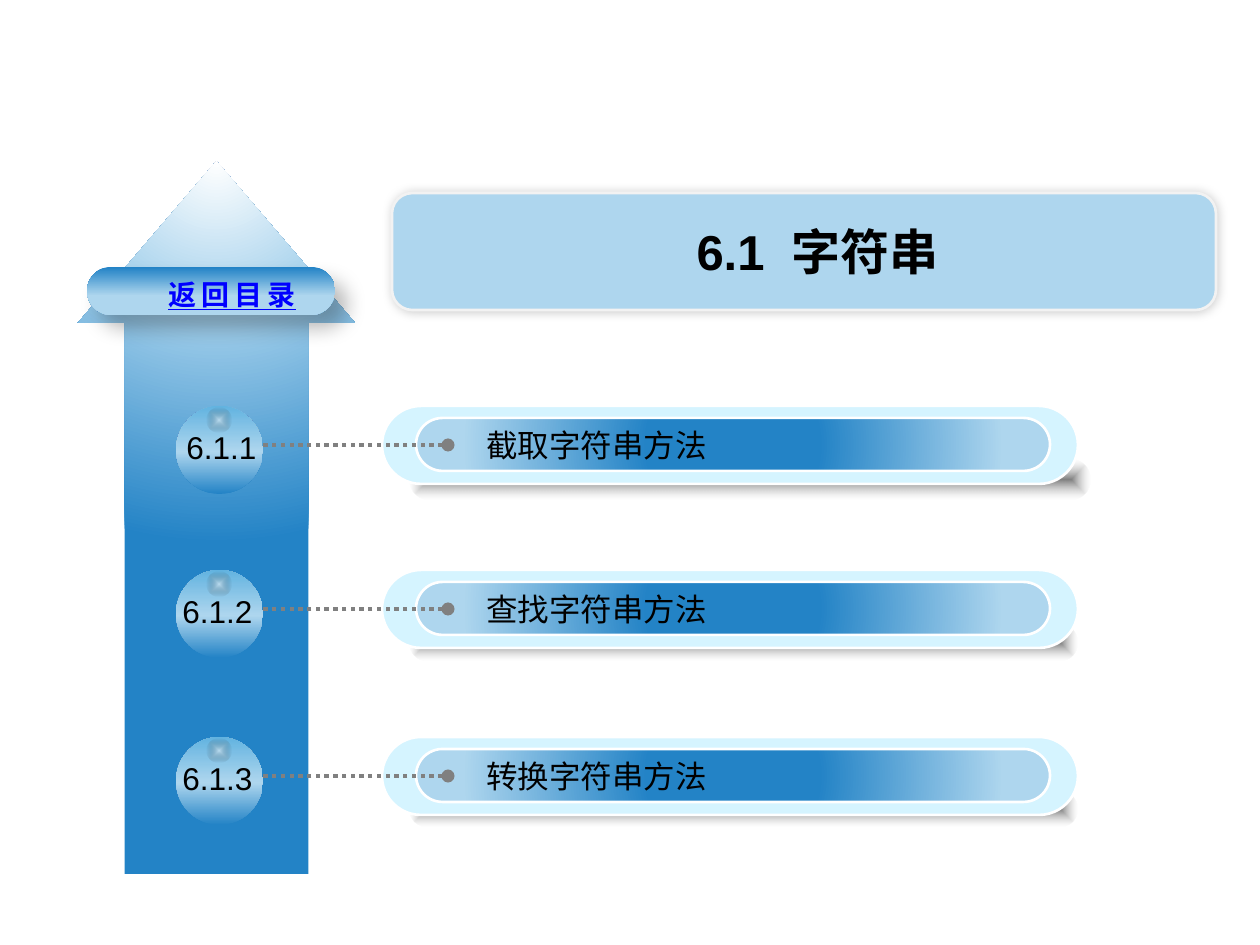
from pptx import Presentation
from pptx.dml.color import RGBColor
from pptx.enum.dml import MSO_LINE
from pptx.enum.shapes import MSO_CONNECTOR, MSO_SHAPE
from pptx.enum.text import MSO_ANCHOR, MSO_AUTO_SIZE, PP_ALIGN
from pptx.oxml import parse_xml
from pptx.oxml.ns import nsdecls, qn
from pptx.util import Pt

PX = 914400 / 126
LATIN, CJK = "Arial", "Noto Sans CJK SC"

BLACK = RGBColor(0x00, 0x00, 0x00)
WHITE = RGBColor(0xFF, 0xFF, 0xFF)
SILVER = RGBColor(0xB0, 0xB0, 0xB0)
GRAY = RGBColor(0x80, 0x80, 0x80)
PANEL_EDGE = RGBColor(0xF2, 0xF2, 0xF2)
LINK_BLUE = RGBColor(0x00, 0x00, 0xFF)
BLUE = RGBColor(0x23, 0x83, 0xC6)
MID_BLUE = RGBColor(0x62, 0xB3, 0xE0)
LIGHT_BLUE = RGBColor(0xAE, 0xD6, 0xEE)
PALE_BLUE = RGBColor(0xD5, 0xF4, 0xFF)

TITLE = "6.1  字符串"
BACK = "返回目录"
# number, name, top, number left, shade box (left, offset from top, width, height)
SECTIONS = [
    ("6.1.1", "截取字符串方法", 406, 174, (410, 54, 680, 39)),
    ("6.1.2", "查找字符串方法", 570, 170, (410, 55, 668, 35)),
    ("6.1.3", "转换字符串方法", 737, 170, (410, 55, 668, 35)),
]

# Gradient stops: position in percent, colour, opacity in percent
ARROW_STOPS = [(0, WHITE, 100), (35, LIGHT_BLUE, 100), (100, BLUE, 100)]
BAR_STOPS = [(27, BLUE, 100), (85, LIGHT_BLUE, 100)]
BALL_STOPS = [(0, BLUE, 100), (48, LIGHT_BLUE, 100), (100, MID_BLUE, 100)]
BUTTON_STOPS = [(1, BLUE, 100), (60, LIGHT_BLUE, 100)]
SHADE_STOPS = [(0, BLACK, 50), (100, SILVER, 0)]
GLOSS_STOPS = [(0, WHITE, 50), (100, BLACK, 0)]
CENTRE = (50, 50, 50, 50)


def emu(*lengths):
    return [round(length * PX) for length in lengths]


def linear(angle):
    return f'<a:lin ang="{angle * 60000}" scaled="0"/>'


def radial(kind, focus=CENTRE):
    """Gradient that runs outward from the focus rectangle (percent insets)."""
    sides = " ".join(f'{side}="{value * 1000}"' for side, value in zip("ltrb", focus))
    return f'<a:path path="{kind}"><a:fillToRect {sides}/></a:path>'


def colour_xml(colour, opacity):
    return f'<a:srgbClr val="{colour}"><a:alpha val="{opacity * 1000}"/></a:srgbClr>'


def add_shape(shapes, kind, box, fill=None, edge=None, adjust=()):
    shape = shapes.add_shape(kind, *emu(*box))
    shape.shadow.inherit = False
    for index, value in enumerate(adjust):
        shape.adjustments[index] = value
    if fill is not None:
        shape.fill.solid()
        shape.fill.fore_color.rgb = fill
    if edge is None:
        shape.line.fill.background()
    else:
        shape.line.color.rgb = edge
        shape.line.width = Pt(1.5)
    return shape


def set_gradient(shape, stops, direction):
    stop_xml = "".join(
        f'<a:gs pos="{place * 1000}">{colour_xml(colour, opacity)}</a:gs>'
        for place, colour, opacity in stops
    )
    shape.fill.background()
    properties = shape.element.spPr
    properties.replace(
        properties.find(qn("a:noFill")),
        parse_xml(f'<a:gradFill {nsdecls("a")} rotWithShape="1">'
                  f'<a:gsLst>{stop_xml}</a:gsLst>{direction}</a:gradFill>'),
    )


def set_shadow(shape, opacity, blur, distance, angle):
    shape.element.spPr.find(qn("a:effectLst")).append(parse_xml(
        f'<a:outerShdw {nsdecls("a")} blurRad="{Pt(blur)}" dist="{Pt(distance)}" '
        f'dir="{angle * 60000}" algn="ctr" rotWithShape="0">'
        f'{colour_xml(BLACK, opacity)}</a:outerShdw>'))


def write(box, text, size, font=LATIN, colour=BLACK, bold=False,
          align=PP_ALIGN.LEFT, wrap=True):
    frame = box.text_frame
    frame.word_wrap = wrap
    frame.auto_size = MSO_AUTO_SIZE.SHAPE_TO_FIT_TEXT
    frame.vertical_anchor = MSO_ANCHOR.TOP
    para = frame.paragraphs[0]
    para.text = text
    para.alignment = align
    para.font.name = font
    para.font.size = Pt(size)
    para.font.bold = bold
    para.font.color.rgb = colour
    defaults = para._p.pPr.find(qn("a:defRPr"))
    defaults.find(qn("a:latin")).addnext(
        parse_xml(f'<a:ea {nsdecls("a")} typeface="{CJK}"/>'))
    return para, defaults


def add_leader(shapes, left, right, y):
    """Dotted line that starts with a round dot at its right end."""
    leader = shapes.add_connector(MSO_CONNECTOR.STRAIGHT, *emu(right, y, left, y))
    leader.line.color.rgb = GRAY
    leader.line.width = Pt(2.5)
    leader.line.dash_style = MSO_LINE.ROUND_DOT
    properties = leader.element.spPr
    properties.find(qn("a:ln")).append(
        parse_xml(f'<a:headEnd {nsdecls("a")} type="oval"/>'))
    properties.append(parse_xml(f'<a:effectLst {nsdecls("a")}/>'))


def add_section(page, number, name, top, number_left, shade_box):
    shapes = page.shapes.add_group_shape().shapes
    pill, ball = MSO_SHAPE.ROUNDED_RECTANGLE, MSO_SHAPE.OVAL
    left, drop, width, height = shade_box
    shade = add_shape(shapes, pill, (left, top + drop, width, height), adjust=[0.5])
    set_gradient(shade, SHADE_STOPS, radial("shape"))
    add_shape(shapes, pill, (382, top, 696, 78), PALE_BLUE, WHITE, [0.5])
    bar = add_shape(shapes, pill, (416, top + 12, 634, 53), edge=WHITE, adjust=[0.5])
    set_gradient(bar, BAR_STOPS, radial("circle"))
    add_leader(shapes, 242, 448, top + 39)
    badge = add_shape(shapes, ball, (176, top, 87, 88))
    set_gradient(badge, BALL_STOPS, linear(270))
    gloss = add_shape(shapes, ball, (207, top + 2, 24, 24))
    set_gradient(gloss, GLOSS_STOPS, radial("shape"))

    number_box = page.shapes.add_textbox(*emu(number_left, top + 16, 110, 50))
    write(number_box, number, 18)
    name_box = page.shapes.add_textbox(*emu(474, top + 14, 552, 50))
    write(name_box, name, 18, CJK)


def main():
    deck = Presentation()
    deck.slide_width, deck.slide_height = emu(1260, 945)
    page = deck.slides.add_slide(deck.slide_layouts[5])

    arrow = add_shape(page.shapes, MSO_SHAPE.UP_ARROW, (78, 161, 277, 713),
                      adjust=[0.663, 0.584])
    set_gradient(arrow, ARROW_STOPS, radial("circle", (50, -80, 50, 180)))

    panel = add_shape(page.shapes, MSO_SHAPE.ROUNDED_RECTANGLE, (392, 193, 824, 117),
                      LIGHT_BLUE, PANEL_EDGE, [0.174])
    set_shadow(panel, 20, 6, 0, 225)
    title = page.shapes.title
    title.left, title.top, title.width, title.height = emu(558, 215, 519, 72)
    write(title, TITLE, 28, bold=True, align=PP_ALIGN.CENTER)
    panel.element.addnext(title.element)

    button = add_shape(page.shapes, MSO_SHAPE.ROUNDED_RECTANGLE, (87, 267, 248, 48),
                       adjust=[0.5])
    set_gradient(button, BUTTON_STOPS, linear(90))
    set_shadow(button, 28, 11.8, 10, 48)
    back_box = page.shapes.add_textbox(*emu(152, 271, 160, 47))
    para, defaults = write(back_box, BACK, 16, CJK, LINK_BLUE, True,
                           PP_ALIGN.CENTER, wrap=False)
    para.font.underline = True
    defaults.set("spc", "300")

    for section in SECTIONS:
        add_section(page, *section)

    deck.save("out.pptx")


if __name__ == "__main__":
    main()
